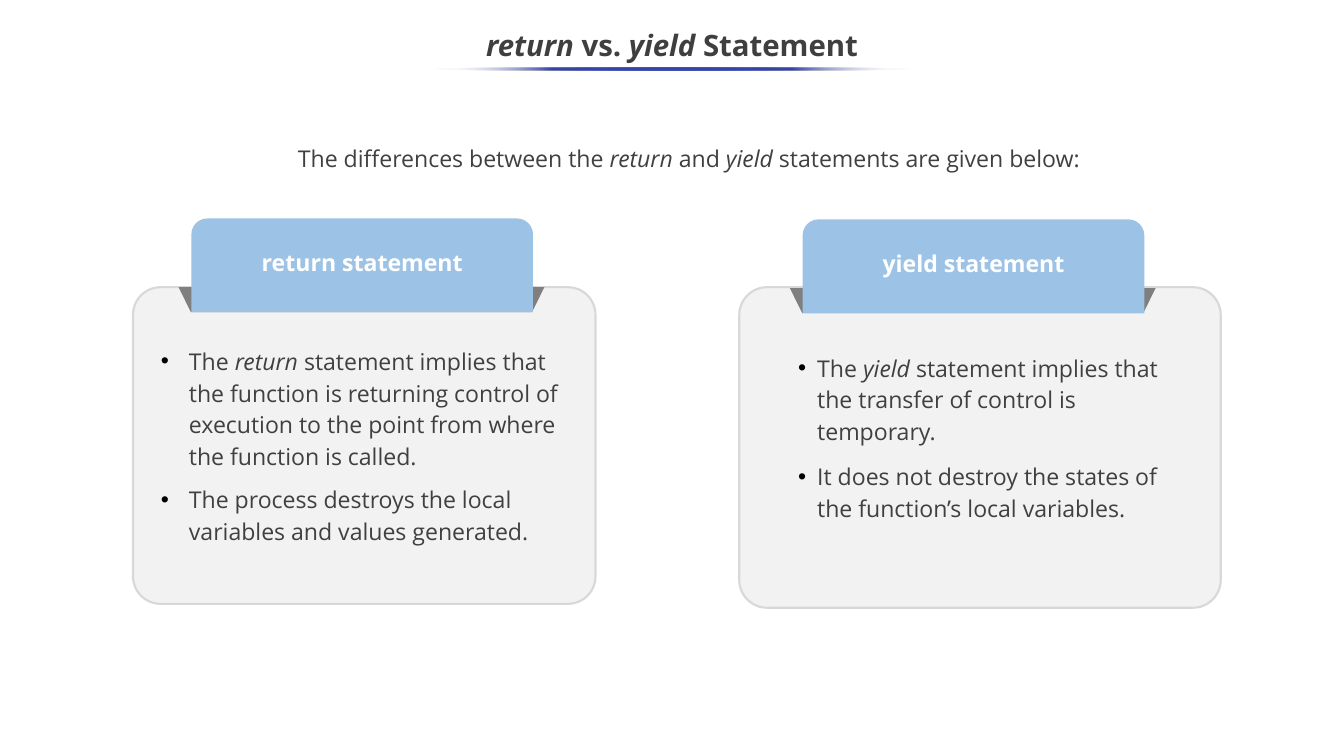
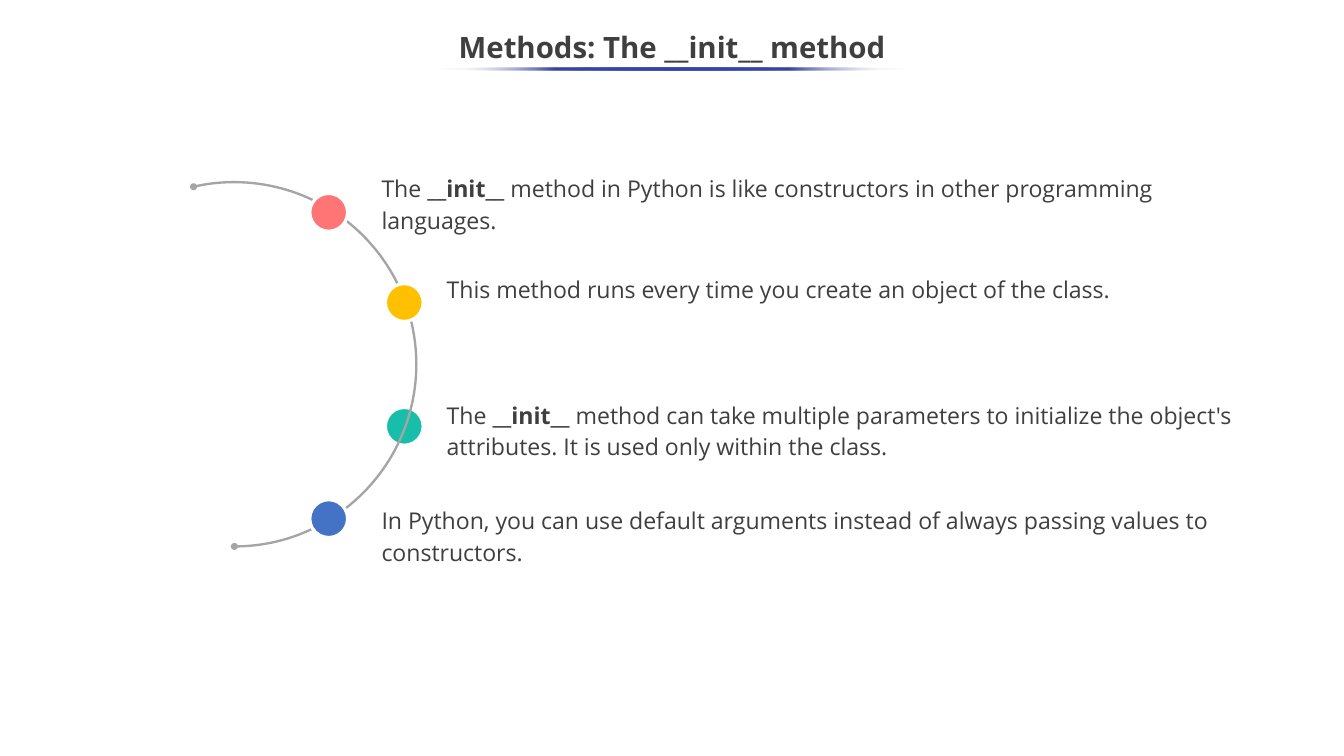
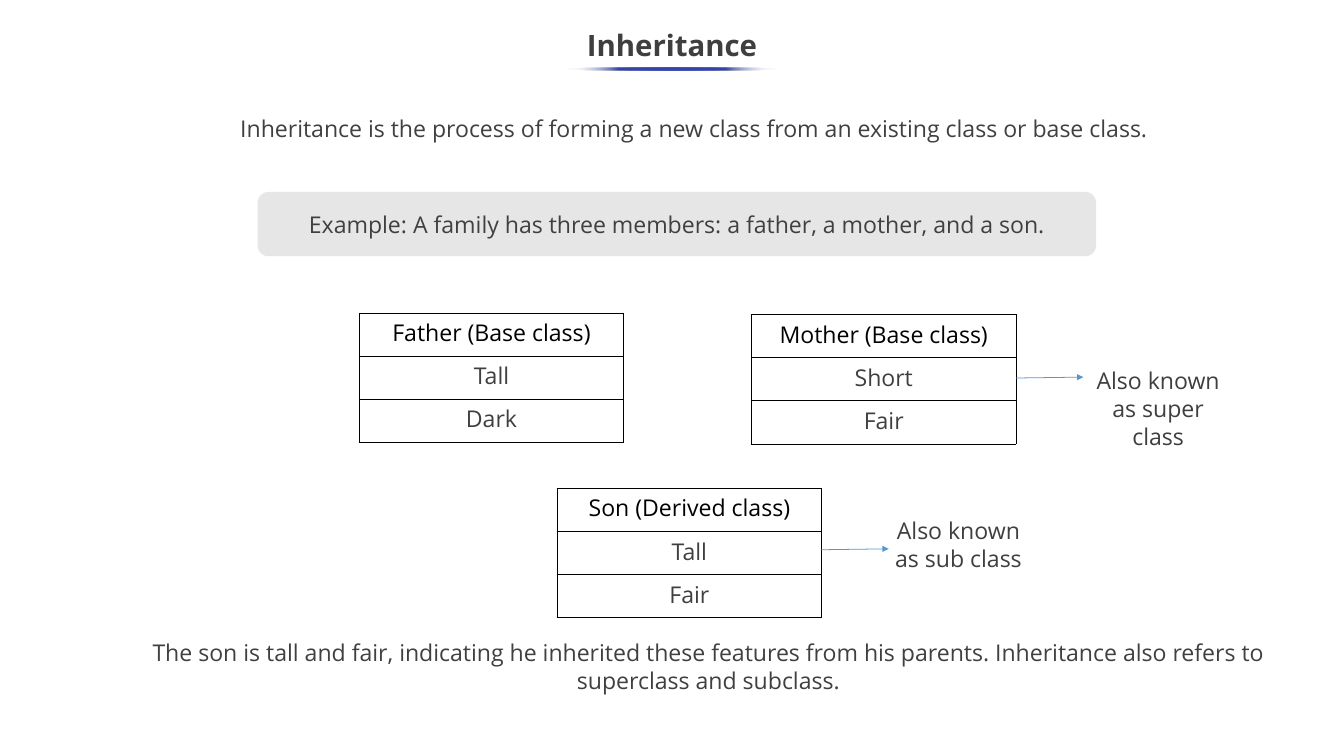
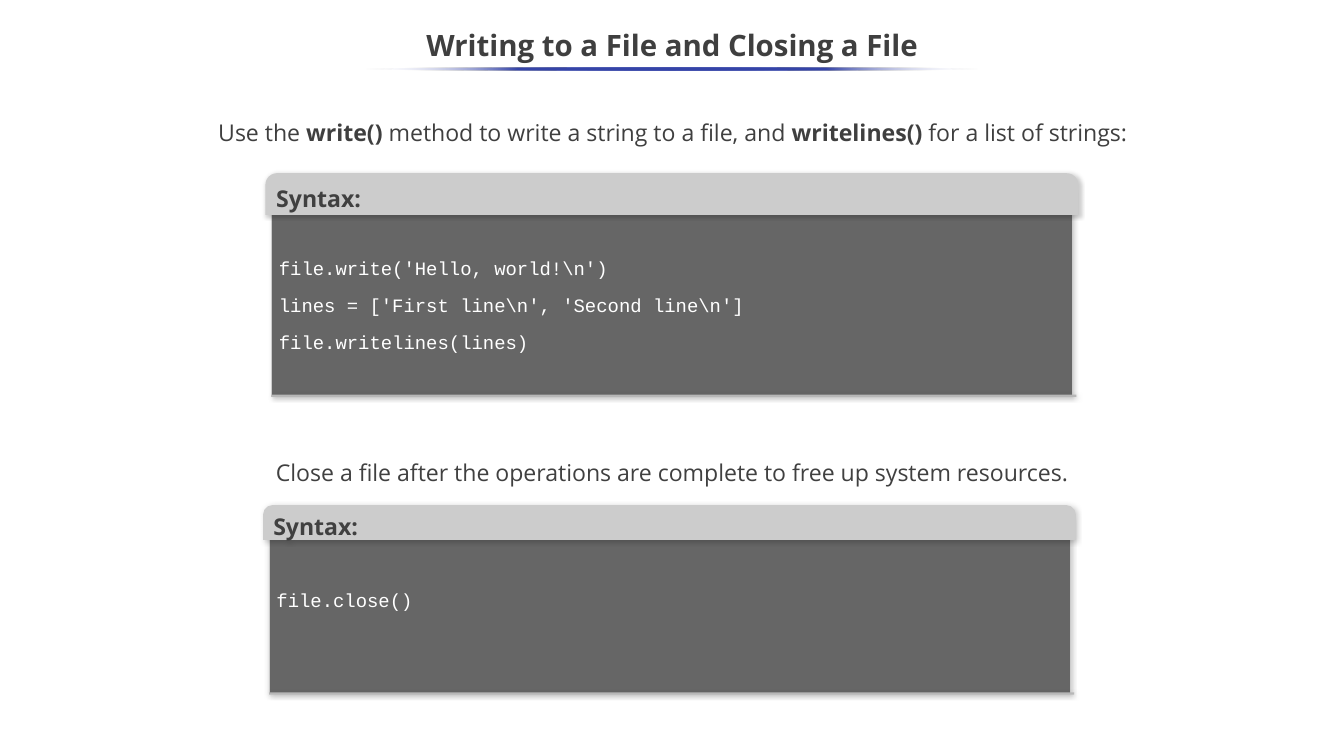
from lxml.etree import SubElement as Sub
from pptx import Presentation
from pptx.dml.color import RGBColor as Rgb
from pptx.enum.shapes import MSO_CONNECTOR as Wire, MSO_SHAPE as Kind
from pptx.enum.text import MSO_ANCHOR as Anchor, PP_ALIGN as Align
from pptx.oxml.ns import qn
from pptx.util import Cm, Pt

HUES = {
    "title": "3F3F3F", "ink": "404040", "black": "000000", "white": "FFFFFF",
    "rule": "3645A9", "card": "F2F2F2", "edge": "D8D8D8", "tab": "9CC2E5",
    "fold": "7F7F7F", "arc": "A5A5A5", "red": "FF7575", "gold": "FFC000",
    "teal": "17BFAB", "blue": "4472C4", "banner": "E6E6E6", "arrow": "5597D3",
    "code": "666666", "head": "CCCCCC", "foot": "B7B7B7",
}
FONT, MONO = "Open Sans", "Courier New"
WIDE, HIGH = 45.16, 25.4


def hue(name):
    return Rgb.from_string(HUES[name])


def node(parent, tag, **attrs):
    return Sub(parent, qn(tag), attrs)


def box(*cms):
    return [Cm(v) for v in cms]


def bullet(para, indent):
    props = para._p.get_or_add_pPr()
    props.set("marL", str(Cm(indent)))
    props.set("indent", str(-Cm(indent)))
    node(node(props, "a:buClr"), "a:srgbClr", val=HUES["black"])
    node(props, "a:buFont", typeface="Arial")
    node(props, "a:buChar", char="•")


def write(frame, paras, size=22, color="ink", bold=False, mark="italic",
          align=Align.LEFT, lines=1.0, before=0, indent=0, font=FONT):
    """Every second string of a paragraph is emphasised with mark."""
    frame.word_wrap = True
    for i, parts in enumerate(paras):
        para = frame.add_paragraph() if i else frame.paragraphs[0]
        if indent:
            bullet(para, indent)
        para.alignment = align
        para.line_spacing = lines
        para.space_before = Pt(before if i else 0)
        for j, part in enumerate(parts):
            if not part:
                continue
            run = para.add_run()
            run.text = part
            face = run.font
            face.name, face.size, face.bold = font, Pt(size), bold
            face.color.rgb = hue(color)
            if j % 2:
                setattr(face, mark, True)


def text(slide, x, y, w, h, paras, anchor=Anchor.TOP, **style):
    frame = slide.shapes.add_textbox(*box(x, y, w, h)).text_frame
    frame.vertical_anchor = anchor
    write(frame, paras, **style)


def shape(slide, kind, x, y, w, h, fill=None, line=None, weight=1, adj=()):
    item = slide.shapes.add_shape(kind, *box(x, y, w, h))
    item.shadow.inherit = False
    for i, value in enumerate(adj):
        item.adjustments[i] = value
    if fill:
        item.fill.solid()
        item.fill.fore_color.rgb = hue(fill)
    else:
        item.fill.background()
    if line:
        item.line.color.rgb = hue(line)
        item.line.width = Pt(weight)
    else:
        item.line.fill.background()
    return item


def shade(item):
    glow = node(item._element.spPr.find(qn("a:effectLst")), "a:outerShdw",
                blurRad=str(Pt(4.5)), dist=str(Pt(1.5)), dir=str(47 * 60000),
                algn="bl", rotWithShape="0")
    tint = node(glow, "a:srgbClr", val=HUES["black"])
    node(tint, "a:alpha", val="20000")


def title(slide, parts, rule, y=0.64):
    text(slide, 0, y, WIDE, 1.91, [parts], Anchor.MIDDLE, size=28,
         color="title", bold=True, align=Align.CENTER, lines=0.9)
    bar = shape(slide, Kind.OVAL, (WIDE - rule) / 2, 2.26, rule, 0.11)
    bar.fill.gradient()
    bar.fill.gradient_angle = 180
    stops = bar._element.spPr.find(qn("a:gradFill")).find(qn("a:gsLst"))
    stops.clear()
    for pos in range(0, 101, 25):
        end = pos in (0, 100)
        stop = node(stops, "a:gs", pos=str(pos * 1000))
        tint = node(stop, "a:srgbClr", val=HUES["white" if end else "rule"])
        if end:
            node(tint, "a:alpha", val="0")


def card(slide, x, w, h):
    shape(slide, Kind.ROUNDED_RECTANGLE, x, 9.65, w, h, "card", "edge", 2, [0.087])


def tab(slide, x, y, label):
    fold = shape(slide, Kind.TRAPEZOID, x - 0.43, y + 2.31, 12.29, 0.84, "fold", adj=[0.494])
    fold.rotation = 180
    shape(slide, Kind.ROUND_2_SAME_RECTANGLE, x, y, 11.48, 3.15, "tab", adj=[0.17, 0])
    text(slide, x, y + 0.88, 11.48, 1.19, [[label]], color="white",
         bold=True, align=Align.CENTER)


def dot(slide, color, x, y):
    shape(slide, Kind.OVAL, x, y, 1.27, 1.27, color, "white", 3)


def ends(line, *tags, kind):
    for tag in tags:
        node(line._get_or_add_ln(), tag, type=kind)


def table(slide, x, y, rows):
    frame = slide.shapes.add_table(len(rows), 1, *box(x, y, 8.89, 1.45 * len(rows)))
    grid = frame.table
    grid.first_row = grid.horz_banding = False
    for i, label in enumerate(rows):
        cell = grid.cell(i, 0)
        props = cell._tc.get_or_add_tcPr()
        for side in "LRTB":
            edge = node(props, f"a:ln{side}", w=str(Pt(1)))
            node(node(edge, "a:solidFill"), "a:srgbClr", val=HUES["black"])
        cell.fill.background()
        write(cell.text_frame, [[label]], align=Align.CENTER,
              color="title" if i else "black")


def arrow(slide, x, y):
    wire = slide.shapes.add_connector(Wire.STRAIGHT, *box(x, y, x + 2.26, y - 0.03))
    wire.line.color.rgb = hue("arrow")
    wire.line.width = Pt(0.75)
    ends(wire.line, "a:tailEnd", kind="triangle")
    node(wire._element.spPr, "a:effectLst")


def panel(slide, x, y, head, high, lines):
    shade(shape(slide, Kind.RECTANGLE, x, y + 0.5, 26.92, high - 0.5, "code", "head", 0.75))
    bar = shape(slide, Kind.ROUND_2_SAME_RECTANGLE, x - 0.2, y, 27.31, head,
                "head", adj=[0.275, 0])
    shade(bar)
    frame = bar.text_frame
    frame.vertical_anchor = Anchor.MIDDLE
    frame.margin_top = frame.margin_bottom = Cm(0.25)
    write(frame, [["Syntax:"]], bold=True, lines=1.15)
    shade(shape(slide, Kind.RECTANGLE, x, y + high - 0.05, 27.05, 0.08, "foot"))
    text(slide, x, y + 2.57, 26.92, 3.5, [[line] for line in lines], size=18,
         color="white", font=MONO, lines=1.14, before=10.7)


def compare(slide):
    title(slide, ["", "return ", "vs. ", "yield ", "Statement"], 16.1)
    text(slide, 8.38, 4.6, 29.54, 1.35,
         [["The differences between the ", "return ", "and ", "yield ",
           "statements are given below:"]], align=Align.CENTER, lines=1.15)
    card(slide, 4.47, 15.54, 10.64)
    card(slide, 24.84, 16.18, 10.77)
    tab(slide, 6.43, 7.34, "return statement")
    tab(slide, 26.97, 7.37, "yield statement")
    text(slide, 5.16, 11.4, 14.43, 8.61, [
        ["The", " return", " statement implies that the function is returning control "
         "of execution to the point from where the function is called."],
        ["The process destroys the local variables and values generated."],
    ], lines=1.15, before=10.7, indent=0.94)
    text(slide, 26.57, 11.63, 12.85, 6.1, [
        ["The", " yield ", "statement implies that the transfer of control is temporary."],
        ["It does not destroy the states of the function’s local variables."],
    ], lines=1.15, before=12.4, indent=0.64)


def methods(slide):
    title(slide, ["Methods: The __init__ method"], 15.77, 0.69)
    dot(slide, "teal", 12.95, 13.69)
    curve = shape(slide, Kind.ARC, 1.75, 6.12, 12.24, 12.24, line="arc",
                  weight=2.25, adj=[154.27, 53.96])
    ends(curve.line, "a:headEnd", "a:tailEnd", kind="oval")
    for spot in (("red", 10.41, 6.5), ("blue", 10.41, 16.79), ("gold", 12.95, 9.53)):
        dot(slide, *spot)
    notes = [
        (12.57, 5.61, 29.26, 1.15,
         ["The ", "__init__ ", "method in Python is like constructors in other "
          "programming languages."]),
        (14.76, 9.14, 28.63, 1.0,
         ["This method runs every time you create an object of the class."]),
        (14.76, 13.21, 28.63, 1.15,
         ["The ", "__init__ ", "method can take multiple parameters to initialize the "
          "object's attributes. It is used only within the class."]),
        (12.57, 16.74, 30.12, 1.15,
         ["In Python, you can use default arguments instead of always passing values "
          "to constructors."]),
    ]
    for x, y, w, lines, parts in notes:
        text(slide, x, y, w, 2.41, [parts], color="title", mark="bold", lines=lines)


def family(slide):
    title(slide, ["Inheritance"], 7.14)
    text(slide, 4.27, 3.73, 38.1, 1.91,
         [["Inheritance is the process of forming a new class from an existing class "
           "or base class."]], align=Align.CENTER)
    banner = shape(slide, Kind.ROUNDED_RECTANGLE, 8.66, 6.45, 28.17, 2.16,
                   "banner", adj=[0.167])
    banner.text_frame.vertical_anchor = Anchor.MIDDLE
    write(banner.text_frame,
          [["Example: A family has three members: a father, a mother, and a son."]],
          align=Align.CENTER)
    table(slide, 12.07, 10.52, ["Father (Base class)", "Tall", "Dark"])
    table(slide, 25.25, 10.57, ["Mother (Base class)", "Short", "Fair"])
    table(slide, 18.72, 16.41, ["Son (Derived class)", "Tall", "Fair"])
    arrow(slide, 34.14, 12.7)
    arrow(slide, 27.6, 18.47)
    for x, y, h, note in ((36.4, 12.19, 3.07, "Also known as super class"),
                          (29.69, 17.22, 2.13, "Also known as sub class")):
        text(slide, x, y, 5.03, h, [[note]], color="title", align=Align.CENTER)
    text(slide, 4.27, 21.34, 39.07, 2.13,
         [["The son is tall and fair, indicating he inherited these features from his "
           "parents. Inheritance also refers to superclass and subclass."]],
         align=Align.CENTER)


def files(slide):
    title(slide, ["Writing to a File and Closing a File"], 20.65)
    text(slide, 3.58, 3.73, 38.05, 2,
         [["Use the ", "write() ", "method to write a string to a file, and ",
           "writelines()", " for a list of strings:"]],
         color="title", mark="bold", align=Align.CENTER, lines=1.15)
    panel(slide, 9.12, 5.82, 1.4, 7.49, [
        "file.write('Hello, world!\\n')",
        "lines = ['First line\\n', 'Second line\\n']",
        "file.writelines(lines)",
    ])
    text(slide, 4.5, 15.14, 36.17, 1.35,
         [["Close a file after the operations are complete to free up system resources."]],
         align=Align.CENTER, lines=1.15)
    panel(slide, 9.04, 16.97, 1.17, 6.34, ["file.close()"])


def main():
    deck = Presentation()
    deck.slide_width, deck.slide_height = box(WIDE, HIGH)
    for build in (compare, methods, family, files):
        build(deck.slides.add_slide(deck.slide_layouts[6]))
    deck.save("out.pptx")


if __name__ == "__main__":
    main()
